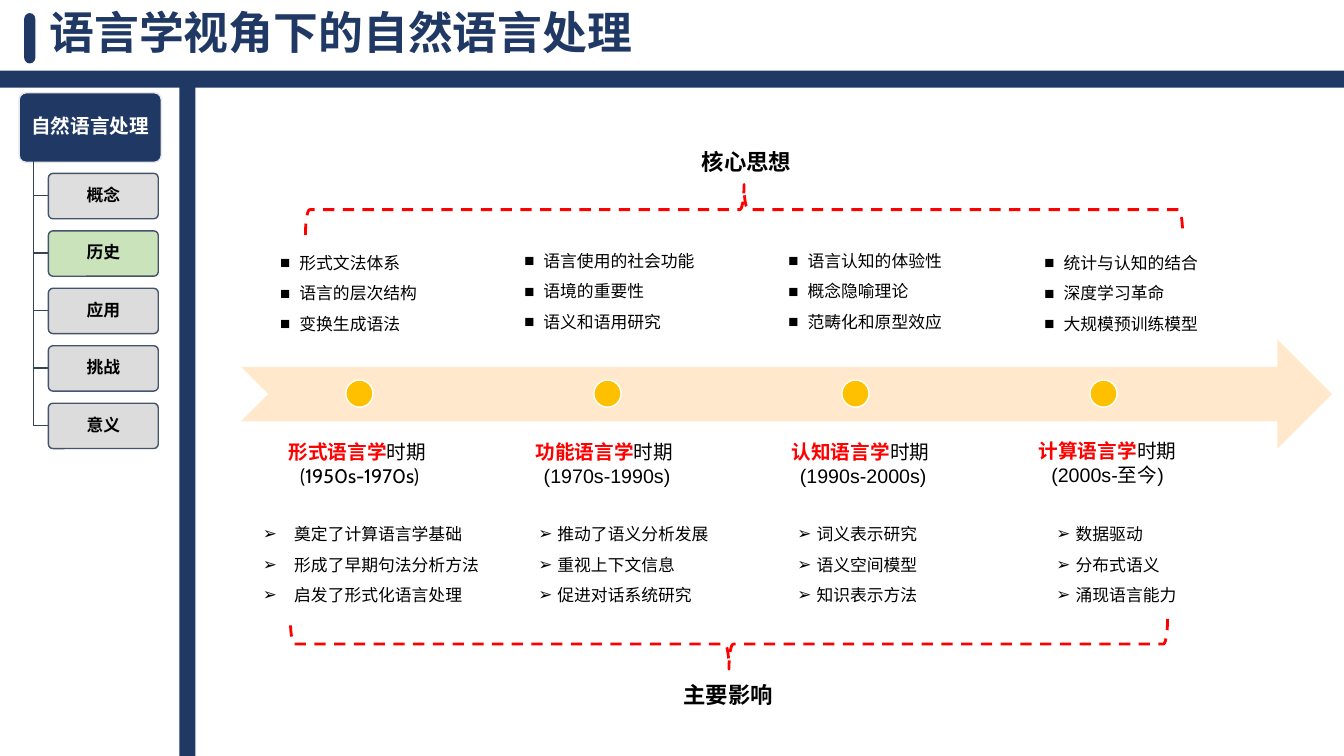
"""Build the slide on the periods of linguistics behind natural language processing."""
from dataclasses import dataclass
from typing import Optional

from lxml import etree
from pptx import Presentation
from pptx.dml.color import RGBColor
from pptx.enum.dml import MSO_LINE
from pptx.enum.shapes import MSO_SHAPE
from pptx.enum.text import MSO_ANCHOR, MSO_AUTO_SIZE, PP_ALIGN
from pptx.oxml.ns import qn
from pptx.shapes.autoshape import Shape
from pptx.slide import Slide
from pptx.text.text import TextFrame
from pptx.util import Pt

PX = 9144
RECT = MSO_SHAPE.RECTANGLE
ROUND = MSO_SHAPE.ROUNDED_RECTANGLE
ARROW = MSO_SHAPE.NOTCHED_RIGHT_ARROW
OVAL = MSO_SHAPE.OVAL
BRACE = MSO_SHAPE.RIGHT_BRACE
DASH = MSO_LINE.DASH
MIDDLE = MSO_ANCHOR.MIDDLE
CENTER = PP_ALIGN.CENTER
GROW = MSO_AUTO_SIZE.SHAPE_TO_FIT_TEXT
FIXED = MSO_AUTO_SIZE.NONE

NAVY = RGBColor(0x20, 0x38, 0x64)
WHITE = RGBColor(0xFF, 0xFF, 0xFF)
BLACK = RGBColor(0, 0, 0)
RED = RGBColor(0xFF, 0, 0)
GOLD = RGBColor(0xFF, 0xC0, 0)
CREAM = RGBColor(0xFF, 0xE8, 0xCC)
GREEN = RGBColor(0xC5, 0xE0, 0xB4)
GREY = RGBColor(0xD9, 0xD9, 0xD9)
PALE = RGBColor(0xDB, 0xDB, 0xDB)
MIST = RGBColor(0xE7, 0xE6, 0xE6)
SLATE = RGBColor(0x44, 0x54, 0x6A)
STEEL = RGBColor(0x36, 0x43, 0x55)


@dataclass
class Box:
    """Place and size in px."""
    left: int
    top: int
    width: int
    height: int

    def emu(self) -> tuple[int, int, int, int]:
        """Return the four lengths in EMU."""
        return self.left * PX, self.top * PX, self.width * PX, self.height * PX


@dataclass
class Points:
    """A bulleted list with its indent in px."""
    box: Box
    lines: tuple[str, ...]
    indent: int = 19


@dataclass
class Stage:
    """One period with its ideas and its effects."""
    name: str
    years: str
    box: Box
    ideas: Points
    effects: Points
    font: str = "Arial"


@dataclass
class Item:
    """One entry of the side menu."""
    name: str
    fill: RGBColor = GREY


@dataclass
class Theme:
    """A heading and the turned brace beside it."""
    name: str
    box: Box
    brace: Box
    turn: int


MENU = (Item("概念", PALE), Item("历史", GREEN), Item("应用"), Item("挑战"), Item("意义"))

STAGES = (
    Stage("形式语言学", " (1950s-1970s)", Box(253, 432, 203, 57),
          Points(Box(278, 241, 203, 87), ("形式文法体系", "语言的层次结构", "变换生成语法")),
          Points(Box(251, 505, 249, 97),
                 ("奠定了计算语言学基础", "形成了早期句法分析方法", "启发了形式化语言处理"), 31),
          "Cabin"),
    Stage("功能语言学", " (1970s-1990s)", Box(498, 432, 203, 57),
          Points(Box(520, 239, 203, 87), ("语言使用的社会功能", "语境的重要性", "语义和语用研究")),
          Points(Box(524, 505, 232, 97), ("推动了语义分析发展", "重视上下文信息", "促进对话系统研究"))),
    Stage("认知语言学", " (1990s-2000s)", Box(752, 432, 203, 57),
          Points(Box(782, 239, 203, 87), ("语言认知的体验性", "概念隐喻理论", "范畴化和原型效应")),
          Points(Box(781, 505, 232, 97), ("词义表示研究", "语义空间模型", "知识表示方法"))),
    Stage("计算语言学", "(2000s-至今)", Box(997, 431, 203, 57),
          Points(Box(1036, 241, 233, 87), ("统计与认知的结合", "深度学习革命", "大规模预训练模型")),
          Points(Box(1038, 505, 232, 97), ("数据驱动", "分布式语义", "涌现语言能力"))),
)

THEMES = (
    Theme("核心思想", Box(696, 147, 122, 27), Box(713, -227, 50, 870), 270),
    Theme("主要影响", Box(678, 676, 122, 27), Box(698, 204, 50, 870), 90),
)


def inset(frame: TextFrame, across: int, down: int) -> None:
    """Set the inner margins of a text frame in px."""
    frame.margin_left = frame.margin_right = across * PX
    frame.margin_top = frame.margin_bottom = down * PX


def add_form(slide: Slide, kind: MSO_SHAPE, box: Box, fill: Optional[RGBColor],
             line: Optional[RGBColor] = None, width: int = 1) -> Shape:
    """Draw a preset shape without shadow."""
    form = slide.shapes.add_shape(kind, *box.emu())
    form.shadow.inherit = False
    if fill is None:
        form.fill.background()
    else:
        form.fill.solid()
        form.fill.fore_color.rgb = fill
    if line is None:
        form.line.fill.background()
    else:
        form.line.color.rgb = line
        form.line.width = Pt(width)
    return form


def add_frame(slide: Slide, box: Box, bare: bool = False) -> TextFrame:
    """Add a wrapping text box that grows with its text."""
    frame = slide.shapes.add_textbox(*box.emu()).text_frame
    frame.word_wrap = True
    frame.auto_size = GROW
    if bare:
        inset(frame, 0, 0)
    return frame


def style(para, size: int, color: Optional[RGBColor] = BLACK,
          bold: Optional[bool] = None, name: str = "Arial") -> None:
    """Set the font of a paragraph."""
    para.font.size = Pt(size)
    para.font.name = name
    para.font.bold = bold
    if color is not None:
        para.font.color.rgb = color


def add_tile(slide: Slide, box: Box, text: str, size: int, fill: RGBColor,
             line: RGBColor, color: RGBColor) -> Shape:
    """Draw a rounded menu tile with centred bold text."""
    tile = add_form(slide, ROUND, box, fill, line)
    tile.adjustments[0] = 0.1
    frame = tile.text_frame
    frame.word_wrap = True
    frame.vertical_anchor = MIDDLE
    inset(frame, 4, 3)
    para = frame.paragraphs[0]
    para.text = text
    para.alignment = CENTER
    para.line_spacing = 0.9
    style(para, size, color, True)
    return tile


def add_menu(slide: Slide) -> None:
    """Draw the side menu with its branches."""
    add_tile(slide, Box(19, 92, 141, 69), "自然语言处理", 14, NAVY, MIST, WHITE)
    for row, item in enumerate(MENU):
        top = 172 + 57 * row
        path = slide.shapes.build_freeform(33, 160, scale=PX)
        path.add_line_segments(((33, top + 22), (48, top + 22)), close=False)
        branch = path.convert_to_shape()
        branch.shadow.inherit = False
        branch.fill.background()
        branch.line.color.rgb = STEEL
        branch.line.width = Pt(1)
        tile = add_tile(slide, Box(48, top, 109, 45), item.name, 12, item.fill, SLATE, BLACK)
        color = tile.fill._xPr.find(qn("a:solidFill"))[0]
        etree.SubElement(color, qn("a:alpha"), val="90000")


def add_points(slide: Slide, points: Points, mark: str, bare: bool) -> None:
    """Write a bulleted list."""
    frame = add_frame(slide, points.box, bare)
    for row, line in enumerate(points.lines):
        para = frame.add_paragraph() if row else frame.paragraphs[0]
        para.text = line
        props = para._p.get_or_add_pPr()
        props.set("marL", str(points.indent * PX))
        props.set("indent", str(-points.indent * PX))
        etree.SubElement(props, qn("a:buFont"), typeface="Arial")
        etree.SubElement(props, qn("a:buChar"), char=mark)
        para.line_spacing = 1.5
        style(para, 12)


def add_stage(slide: Slide, stage: Stage) -> None:
    """Write one period with its two lists."""
    add_points(slide, stage.ideas, "■", True)
    frame = add_frame(slide, stage.box)
    head, years = frame.paragraphs[0], frame.add_paragraph()
    for text, color, bold in ((stage.name, RED, True), ("时期", BLACK, False)):
        run = head.add_run()
        run.text = text
        run.font.color.rgb = color
        run.font.bold = bold
    years.text = stage.years
    for para, color in ((head, None), (years, BLACK)):
        para.alignment = CENTER
        style(para, 14, color, name=stage.font)
    add_points(slide, stage.effects, "➢", False)


def add_theme(slide: Slide, theme: Theme) -> None:
    """Draw a dashed brace and its heading."""
    brace = add_form(slide, BRACE, theme.brace, None, RED, 2)
    brace.rotation = theme.turn
    brace.line.dash_style = DASH
    para = add_frame(slide, theme.box, True).paragraphs[0]
    para.text = theme.name
    style(para, 16, bold=True)


def add_title(slide: Slide) -> None:
    """Place the title and the bars around it."""
    for box in (Box(0, 70, 1333, 17), Box(178, 75, 16, 675)):
        add_form(slide, RECT, box, NAVY)
    add_form(slide, ROUND, Box(24, 13, 11, 50), NAVY).adjustments[0] = 0.5
    title = slide.shapes.title
    title.left, title.top, title.width, title.height = Box(39, 10, 1150, 50).emu()
    frame = title.text_frame
    frame.auto_size = FIXED
    frame.vertical_anchor = MIDDLE
    para = frame.paragraphs[0]
    para.text = "语言学视角下的自然语言处理"
    para.alignment = PP_ALIGN.LEFT
    para.line_spacing = 0.9
    style(para, 32, NAVY, True)


def main() -> None:
    """Build and save the deck."""
    deck = Presentation()
    deck.slide_width, deck.slide_height = 1333 * PX, 750 * PX
    slide = deck.slides.add_slide(deck.slide_layouts[5])
    add_title(slide)
    add_menu(slide)
    add_form(slide, ARROW, Box(239, 337, 1082, 108), CREAM)
    for col, stage in enumerate(STAGES):
        add_form(slide, OVAL, Box(343 + 246 * col, 377, 27, 27), GOLD, WHITE)
        add_stage(slide, stage)
    for theme in THEMES:
        add_theme(slide, theme)
    deck.save("out.pptx")


if __name__ == "__main__":
    main()
